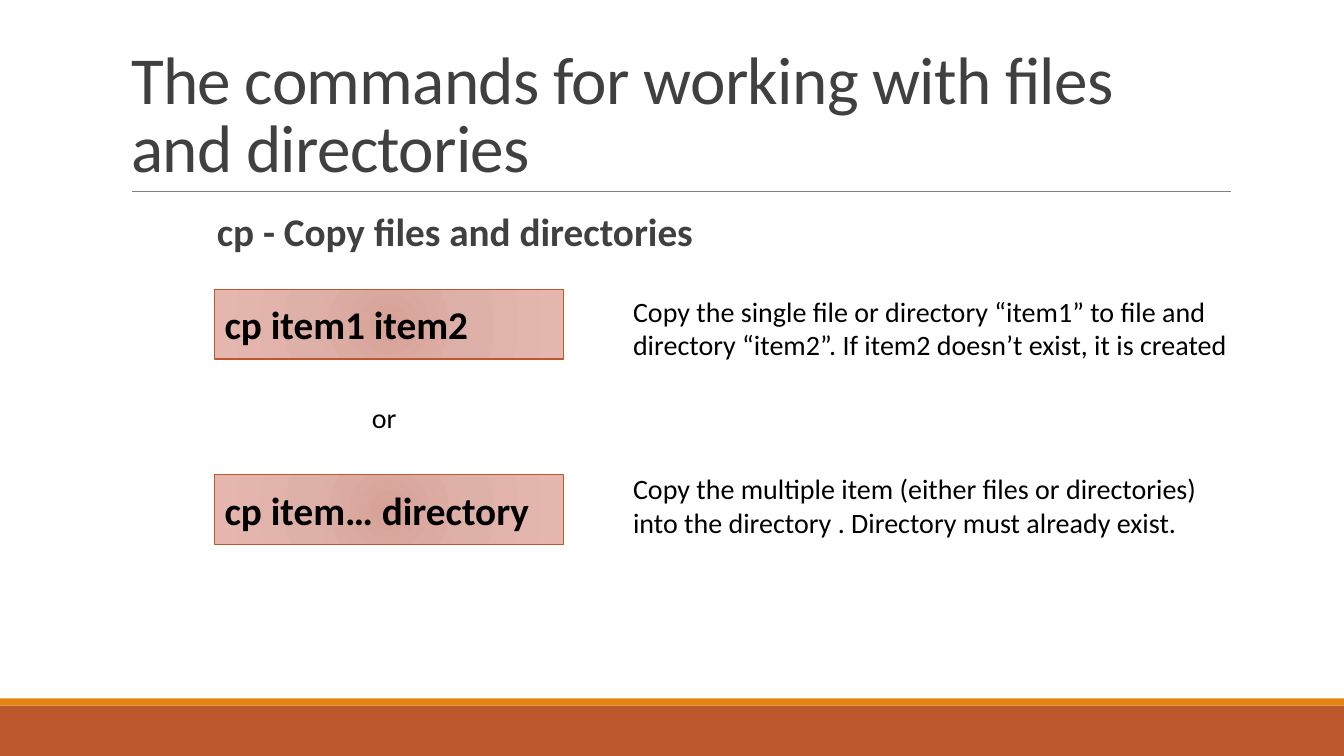
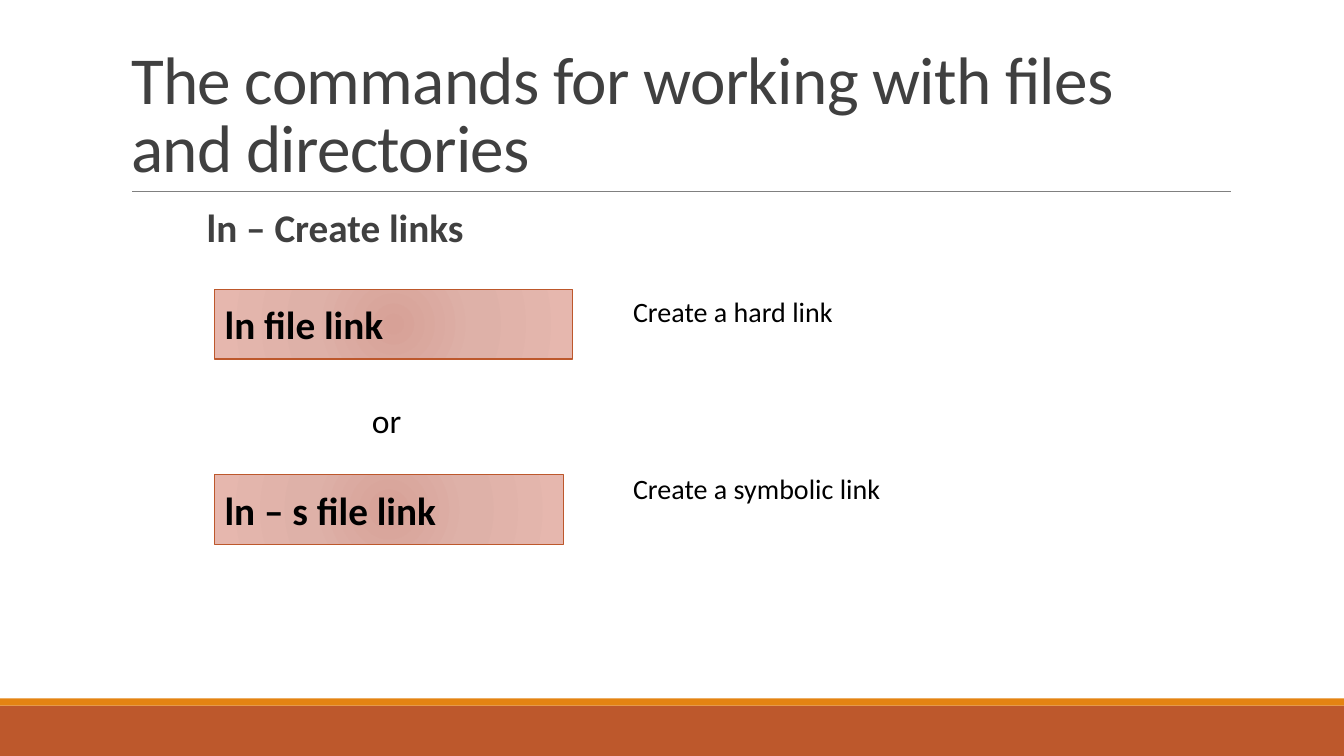
from lxml import etree
from pptx import Presentation, util as u
from pptx.dml.color import RGBColor
from pptx.enum import shapes, text
from pptx.oxml import parse_xml
from pptx.oxml.ns import nsdecls, qn

HUE = {"band": "BD582C", "strip": "E48312", "rule": "808080",
       "head": "404040", "ink": "000000"}
STOPS = [(0, "D7A197"), (45, "DEB1A8"), (100, "E6B7AE")]
FONT = "Calibri"
TITLE = "The commands for working with files and directories"

# Columns and rows of the page, in inches
WIDE, HIGH = 13.33, 7.5
CMD, OR, NOTE = 2.13, 3.59, 6.18
TOP, MID, LOW = 2.87, 3.92, 4.71
BOX_H = 0.69

PAGES = [
    {"head": "cp - Copy files and directories",
     "body": (1.15, 2.06, 11.05, 4.36), "or": 20,
     "cmds": [("cp item1 item2", TOP, 3.46),
              ("cp item… directory", LOW, 3.46)],
     "notes": [("Copy the single file or directory “item1” to file and "
                "directory “item2”. If item2 doesn’t exist, it is created",
                TOP, 6.45),
               ("Copy the multiple item (either files or directories) into "
                "the directory . Directory must already exist.",
                LOW - 0.08, 6.02)]},
    {"head": "ln – Create links",
     "body": (1.05, 2.02, 11.18, 4.45), "or": 24,
     "cmds": [("ln file link", TOP, 3.55),
              ("ln – s file link", LOW, 3.46)],
     "notes": [("Create a hard link", TOP, 6.45),
               ("Create a symbolic link", LOW - 0.08, 6.02)]},
]


def place(shape, *box):
    shape.left, shape.top, shape.width, shape.height = map(u.Inches, box)


def write(shape, words, size, hue="ink", bold=False):
    """Put one left-aligned run in the shape and return its paragraph and run."""
    frame = shape.text_frame
    frame.word_wrap = True
    para = frame.paragraphs[0]
    para.alignment = text.PP_ALIGN.LEFT
    run = para.add_run()
    run.text = words
    run.font.name, run.font.size, run.font.bold = FONT, u.Pt(size), bold
    run.font.color.rgb = RGBColor.from_string(HUE[hue])
    return para, run


deck = Presentation()
deck.slide_width, deck.slide_height = u.Inches(WIDE), u.Inches(HIGH)
base = deck.slide_layouts[1]
slides = [deck.slides.add_slide(base) for page in PAGES]

# Shared layout: title place, two bands and a rule
for holder in list(base.placeholders):
    if holder.placeholder_format.idx > 1:
        holder.element.getparent().remove(holder.element)
place(base.placeholders[0], 1.2, 0.33, 11, 1.57)
base.placeholders[0].text_frame.vertical_anchor = text.MSO_ANCHOR.BOTTOM

decor = []
for hue, top, tall in [("band", 7, 0.5), ("strip", 6.93, 0.07)]:
    band = slides[0].shapes.add_shape(
        shapes.MSO_SHAPE.RECTANGLE, 0, u.Inches(top), u.Inches(WIDE), u.Inches(tall))
    band.shadow.inherit = False
    band.fill.solid()
    band.fill.fore_color.rgb = RGBColor.from_string(HUE[hue])
    band.line.fill.background()
    decor.append(band)
rule = slides[0].shapes.add_connector(
    shapes.MSO_CONNECTOR.STRAIGHT, u.Inches(1.31), u.Inches(1.9),
    u.Inches(12.21), u.Inches(1.9))
rule.line.color.rgb = RGBColor.from_string(HUE["rule"])
rule.line.width = u.Pt(0.5)
etree.SubElement(rule.element.spPr, qn("a:effectLst"))
decor.append(rule)
for spot, part in enumerate(decor, 2):
    base.shapes.element.insert(spot, part.element)

stops = "".join(f'<a:gs pos="{pos * 1000}"><a:srgbClr val="{hue}"/></a:gs>'
                for pos, hue in STOPS)
blend = (f'<a:gradFill {nsdecls("a")} rotWithShape="1"><a:gsLst>{stops}</a:gsLst>'
         '<a:path path="circle"><a:fillToRect l="100000" t="100000" '
         'r="100000" b="100000"/></a:path></a:gradFill>')

for slide, page in zip(slides, PAGES):
    title, body = slide.placeholders
    para, run = write(title, TITLE, 48, "head")
    para.line_spacing = 0.85
    run.font.element.set("spc", "-50") if hasattr(run.font, "element") else \
        run._r.get_or_add_rPr().set("spc", "-50")
    title.text_frame.auto_size = text.MSO_AUTO_SIZE.NONE

    place(body, *page["body"])
    body.text_frame.margin_left = body.text_frame.margin_right = 0
    body.text_frame.auto_size = text.MSO_AUTO_SIZE.NONE
    para, run = write(body, page["head"], 28, "head", True)
    para.line_spacing = 0.9
    para.space_before, para.space_after = u.Pt(12), u.Pt(2)
    props = para._p.get_or_add_pPr()
    props.set("marL", str(u.Inches(1)))
    props.set("indent", "0")
    etree.SubElement(props, qn("a:buNone"))

    for words, top, wide in page["cmds"]:
        box = slide.shapes.add_shape(
            shapes.MSO_SHAPE.RECTANGLE, u.Inches(CMD), u.Inches(top),
            u.Inches(wide), u.Inches(BOX_H))
        box.shadow.inherit = False
        box.element.spPr.insert(2, parse_xml(blend))
        box.line.color.rgb = RGBColor.from_string(HUE["band"])
        box.line.width = u.Pt(1)
        box.text_frame.vertical_anchor = text.MSO_ANCHOR.MIDDLE
        write(box, words, 28, bold=True)

    labels = [(words, NOTE, top, wide, 0.77, 20) for words, top, wide in page["notes"]]
    labels.append(("or", OR, MID, 5.6, 0.5, page["or"]))
    for words, left, top, wide, tall, size in labels:
        label = slide.shapes.add_textbox(0, 0, 0, 0)
        place(label, left, top, wide, tall)
        write(label, words, size)

deck.save("out.pptx")
